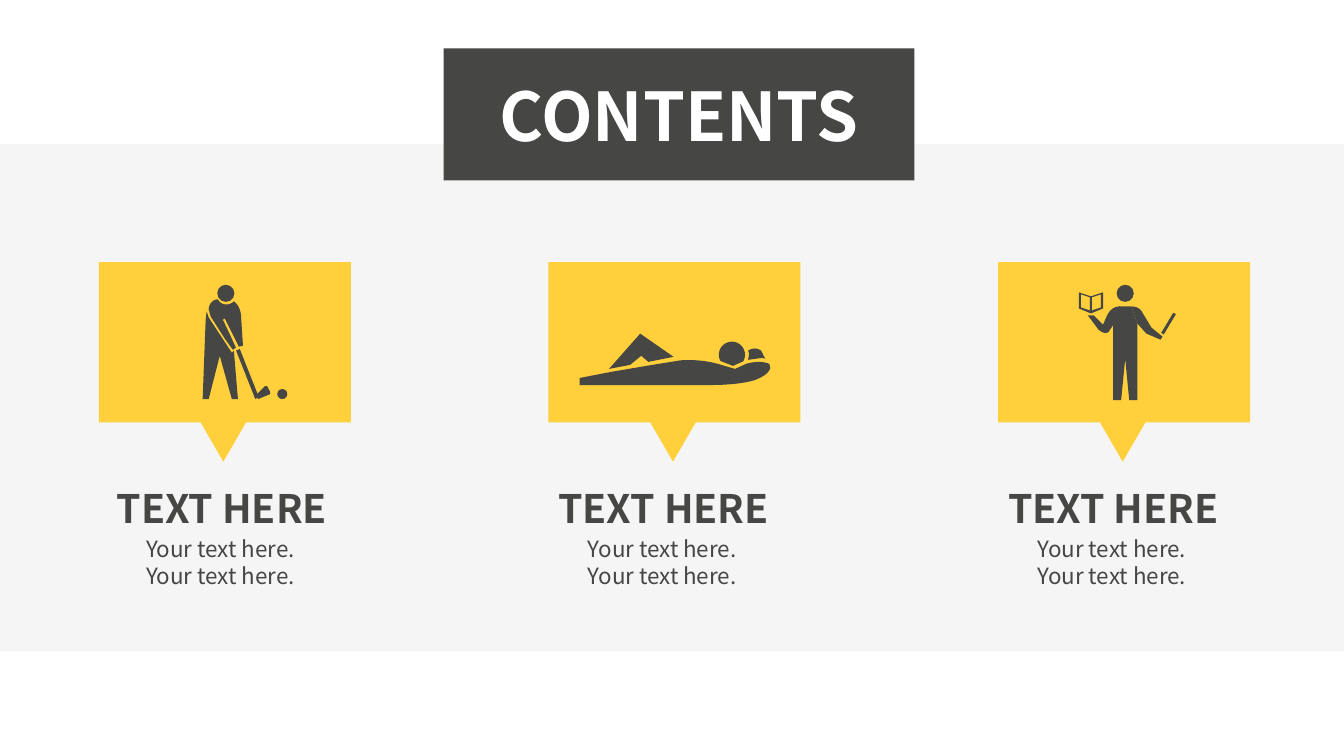
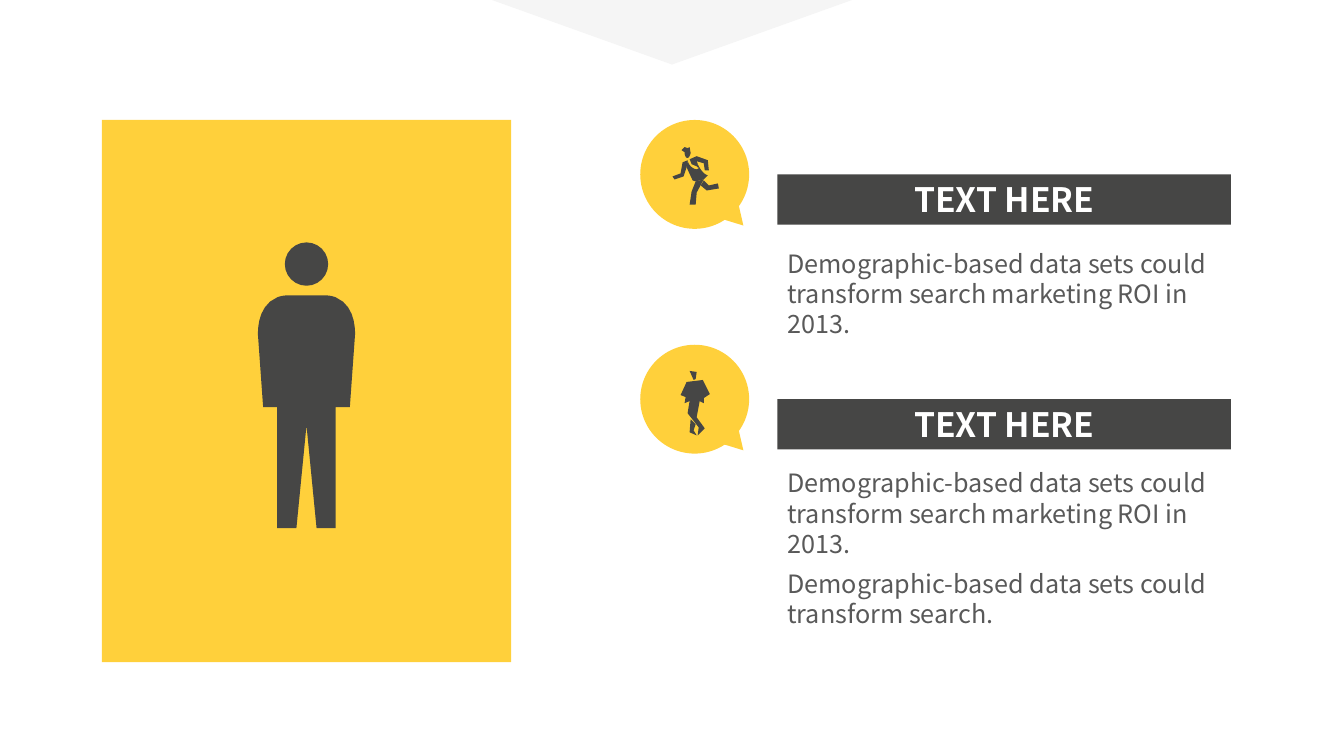
"""Build a contents slide and a profile slide with pictogram figures."""
from dataclasses import dataclass
from math import cos, hypot, radians, sin

from pptx import Presentation
from pptx import util as u
from pptx.dml.color import RGBColor
from pptx.enum import shapes, text

PX = 9144
WIDE, HIGH = 1333, 750
DARK = RGBColor(0x46, 0x46, 0x45)
GOLD = RGBColor(0xFF, 0xD0, 0x3B)
PALE = RGBColor(0xF5, 0xF5, 0xF5)
GREY = RGBColor(0x59, 0x59, 0x59)
WHITE = RGBColor(0xFF, 0xFF, 0xFF)
FACE = "Noto Sans CJK SC"
RECT = shapes.MSO_SHAPE.RECTANGLE
OVAL = shapes.MSO_SHAPE.OVAL
PEAK = shapes.MSO_SHAPE.ISOSCELES_TRIANGLE
LEFT, MID = text.PP_ALIGN.LEFT, text.PP_ALIGN.CENTER

TITLE = {"name": FACE, "size": u.Pt(48), "bold": True}
HEAD = {"name": FACE, "size": u.Pt(28), "bold": True}
NOTE = {"name": FACE, "size": u.Pt(16), "bold": False}
BAR = {"name": FACE, "size": u.Pt(24), "bold": True}
BODY = {"name": FACE, "size": u.Pt(18), "bold": False}

LINE = "Your text here."
LONG = "Demographic-based data sets could transform search marketing ROI in 2013."
SHORT = "Demographic-based data sets could transform search."


def curve(start, pull, push, end, steps=8):
    """Return points along a cubic curve, ends included."""
    dots = []
    for i in range(steps + 1):
        t = i / steps
        mix = ((1 - t) ** 3, 3 * t * (1 - t) ** 2, 3 * t * t * (1 - t), t ** 3)
        knots = (start, pull, push, end)
        dots.append(tuple(sum(m * k[axis] for m, k in zip(mix, knots))
                          for axis in (0, 1)))
    return dots


def arc(x, y, size, first, last, steps=24):
    """Return points on a circle between two angles in degrees."""
    turns = [radians(first + (last - first) * i / steps) for i in range(steps + 1)]
    return [(x + size / 2 * cos(a), y + size / 2 * sin(a)) for a in turns]


def flip(dots, axis):
    """Reflect points across a vertical axis."""
    return [(2 * axis - x, y) for x, y in reversed(dots)]


def mirror(half, axis):
    """Close a half outline with its reflection."""
    return half + flip(half, axis)


def rod(start, end, thick):
    """Return the outline of a straight bar between two points."""
    (x, y), (far, low) = start, end
    span = hypot(far - x, low - y)
    dx, dy = (low - y) * thick / span / 2, (x - far) * thick / span / 2
    return [(x + dx, y + dy), (far + dx, low + dy),
            (far - dx, low - dy), (x - dx, y - dy)]


def paint(shape, color):
    """Give a shape a flat fill without line or shadow."""
    shape.shadow.inherit = False
    shape.fill.solid()
    shape.fill.fore_color.rgb = color
    shape.line.fill.background()
    return shape


def block(group, kind, box, color, turn=0):
    """Add a flat preset shape in a px box."""
    shape = paint(group.add_shape(kind, *(n * PX for n in box)), color)
    shape.rotation = turn
    return shape


@dataclass
class Stage:
    """Draw dark parts relative to a px corner."""

    group: object
    left: int
    top: int

    def disc(self, x, y, size):
        """Draw a circle around a centre."""
        box = (self.left + x - size / 2, self.top + y - size / 2, size, size)
        block(self.group, OVAL, [round(n, 2) for n in box], DARK)

    def form(self, *rings):
        """Draw one outline; further rings cut holes."""
        rings = [[(x * PX, y * PX) for x, y in ring] for ring in rings]
        pen = self.group.build_freeform(*rings[0][0])
        for ring in rings:
            pen.move_to(*ring[0])
            pen.add_line_segments(ring[1:], close=True)
        paint(pen.convert_to_shape(self.left * PX, self.top * PX), DARK)


def golfer(at):
    """Draw a golfer with club and ball."""
    head, ball = (126, 31, 17), (182, 131, 10)
    shaft = rod((138, 87), (157, 135), 4)
    blade = [(158, 136), (170, 131), (170, 129), (167, 123), (165, 123), (157, 131)]
    legs = [(134, 88), (132, 90), (109, 55), (107, 49), (106, 57), (103, 136),
            (109, 136), (120, 93), (132, 136), (138, 136)]
    nape = curve((134, 39), (130, 43), (122, 44), (118, 37))
    near = curve((118, 37), (113, 37), (109, 42), (109, 47))
    far = curve((141, 52), (141, 52), (140, 43), (134, 39))
    arms = [(111, 54), (125, 76), (133, 87), (136, 85), (131, 74), (123, 57), (125, 56)]
    for spot in (head, ball):
        at.disc(*spot)
    for part in (shaft, blade, legs, far + nape + near + arms + [(139, 84), (143, 83)]):
        at.form(part)


def sleeper(at):
    """Draw a person lying on a pillow."""
    pillow = (curve((198, 88), (202, 85), (207, 85), (211, 88))
              + [(215, 96), (212, 95), (198, 97), (199, 91)])
    knee = [(92, 93), (99, 99), (124, 94), (91, 71), (60, 106), (81, 102)]
    head = arc(182, 92, 26, 152, 390) + [(183, 103)]
    chest = curve((168, 101), (150, 96), (132, 97), (128, 98))
    thigh = [(103, 102), (62, 109), (31, 115), (31, 122)]
    back = curve((163, 122), (173, 122), (193, 121), (205, 117))
    elbow = curve((205, 117), (215, 113), (219, 109), (220, 105))
    arm = curve((219, 101), (213, 98), (202, 99), (196, 101))
    neck = [(185, 106), (178, 104)]
    for part in (pillow, knee, head, chest + thigh + back + elbow + arm + neck):
        at.form(part)


def reader(at):
    """Draw a teacher holding a book and a pen."""
    spine, waist = 92, 126
    cover = mirror([(92, 34), (104, 30), (104, 46), (92, 51)], spine)
    page = [(93, 35), (102, 32), (102, 45), (93, 48)]
    trunk = mirror([(126, 44), (132, 44), (138, 61), (138, 137), (130, 137),
                    (126, 96)], waist)
    sleeve = curve((121, 44), (117, 44), (112, 45), (108, 53))
    elbow = curve((98, 65), (101, 70), (109, 73), (111, 67))
    near = sleeve + [(104, 62), (95, 53), (89, 53)] + elbow + [(115, 61)]
    far = (curve((132, 44), (139, 44), (142, 48), (143, 50))
           + [(152, 65), (163, 74), (161, 77), (147, 71), (138, 61)])
    at.disc(126, 31, 17)
    at.form(cover, page, flip(page, spine))
    for part in (trunk, near, far, rod((175, 51), (163, 71), 3)):
        at.form(part)


def runner(at):
    """Draw a runner."""
    head = ([(44, 32)] + curve((44, 32), (44, 38), (48, 41), (50, 33))
            + [(49, 27), (47, 28), (44, 27), (41, 30)])
    front = [(56, 41), (63, 43), (64, 50), (68, 50), (67, 40), (56, 36), (49, 39),
             (51, 44), (56, 46), (58, 48)]
    rear = [(47, 40), (42, 42), (40, 53), (32, 56), (34, 59), (43, 56), (46, 47)]
    trunk = ([(46, 47), (52, 60), (55, 61), (63, 59), (67, 55)]
             + curve((67, 55), (60, 53), (56, 41), (56, 41))
             + [(58, 48), (56, 49)] + curve((56, 49), (49, 48), (47, 41), (47, 40)))
    leg = [(55, 61), (51, 71), (49, 84), (55, 84), (56, 72), (63, 59)]
    foot = [(77, 63), (68, 65), (63, 60), (60, 65), (66, 70), (78, 68)]
    for part in (head, front, rear, trunk, leg, foot):
        at.form(part)


def walker(at):
    """Draw a walker with crossed legs."""
    head = [(53, 35), (55, 34), (56, 27), (49, 26)]
    coat = [(62, 35), (46, 37), (40, 50), (45, 52), (44, 58), (49, 56),
            (59, 56), (63, 58), (63, 53), (69, 49)]
    front = [(49, 56), (47, 68), (58, 82), (57, 90), (64, 83), (56, 72), (59, 56)]
    rear = [(49, 87), (56, 90), (53, 85), (55, 79), (50, 74)]
    for part in (head, coat, front, rear):
        at.form(part)


def man(at):
    """Draw a standing man from one mirrored half."""
    waist = 203
    leg = [(waist, 303), (213, 405), (232, 405), (232, 285)]
    arm = [(246, 285), (251, 215)]
    sleeve = curve((251, 215), (251, 215), (254, 185), (232, 176))
    neck = curve((232, 176), (227, 174), (223, 174), (218, 174))
    at.disc(waist, 143, 43)
    at.form(mirror(leg + arm + sleeve + neck, waist))


CARDS = [(golfer, 8), (sleeper, 0), (reader, 0)]
ITEMS = [(runner, 122, [LONG]), (walker, 117, [LONG, SHORT])]


def write(shape, lines, style, color, align=LEFT, gap=0):
    """Fill a shape with styled paragraphs."""
    frame = shape.text_frame
    frame.word_wrap = True
    frame.auto_size = text.MSO_AUTO_SIZE.NONE
    frame.vertical_anchor = (text.MSO_ANCHOR.MIDDLE if align == MID
                             else text.MSO_ANCHOR.TOP)
    frame.text = "\n".join(lines)
    for i, para in enumerate(frame.paragraphs):
        para.alignment = align
        para.space_before = u.Pt(gap if i else 0)
        para.font.color.rgb = color
        for key, value in style.items():
            setattr(para.font, key, value)


def label(group, box, lines, style, color, gap=0):
    """Add a left-aligned text box in a px box."""
    write(group.add_textbox(*(n * PX for n in box)), lines, style, color, gap=gap)


def card(slide, left, top, figure, shift):
    """Place a callout with its pictogram, heading and lines."""
    group = slide.shapes.add_group_shape().shapes
    block(group, RECT, (left, top, 250, 159), GOLD)
    block(group, PEAK, (left + 50, top + 71, 147, 127), GOLD, 180)
    figure(Stage(group, left, top))
    edge = left + shift
    label(group, (edge, top + 216, 250, 57), ["TEXT HERE"], HEAD, DARK)
    label(group, (edge + 29, top + 266, 179, 64), [LINE] * 2, NOTE, DARK)


def item(slide, left, top, figure, drop, lines):
    """Place a round bubble, a heading bar and its body text."""
    group = slide.shapes.add_group_shape().shapes
    block(group, OVAL, (left, top, 108, 108), GOLD)
    block(group, PEAK, (left + 64, top + 60, 45, 39), GOLD, 17)
    figure(Stage(group, left, top))
    edge = left + 136
    bar = block(slide.shapes, RECT, (edge, top + 54, 450, 50), DARK)
    write(bar, ["TEXT HERE"], BAR, WHITE, MID)
    box = (edge, top + drop, 477, 30 + 71 * len(lines))
    label(slide.shapes, box, lines, BODY, GREY, 7)


def contents(deck):
    """Build the contents slide."""
    slide = deck.slides.add_slide(deck.slide_layouts[5])
    title = slide.shapes.title
    box = {"left": 440, "top": 48, "width": 467, "height": 131}
    for key, value in box.items():
        setattr(title, key, value * PX)
    title.fill.solid()
    title.fill.fore_color.rgb = DARK
    write(title, ["CONTENTS"], TITLE, WHITE, MID)
    band = block(slide.shapes, RECT, (0, 143, WIDE, 503), PALE)
    title.element.addprevious(band.element)
    for i, (figure, shift) in enumerate(CARDS):
        card(slide, 98 + 446 * i, 260, figure, shift)


def profile(deck):
    """Build the profile slide."""
    slide = deck.slides.add_slide(deck.slide_layouts[6])
    left, top = 101, 119
    block(slide.shapes, PEAK, (488, 0, 357, 64), PALE, 180)
    block(slide.shapes, RECT, (left, top, 406, 538), GOLD)
    man(Stage(slide.shapes, left, top))
    for i, (figure, drop, lines) in enumerate(ITEMS):
        item(slide, 635, top + 223 * i, figure, drop, lines)


def main():
    """Build and save the deck."""
    deck = Presentation()
    deck.slide_width, deck.slide_height = WIDE * PX, HIGH * PX
    contents(deck)
    profile(deck)
    deck.save("out.pptx")


if __name__ == "__main__":
    main()
